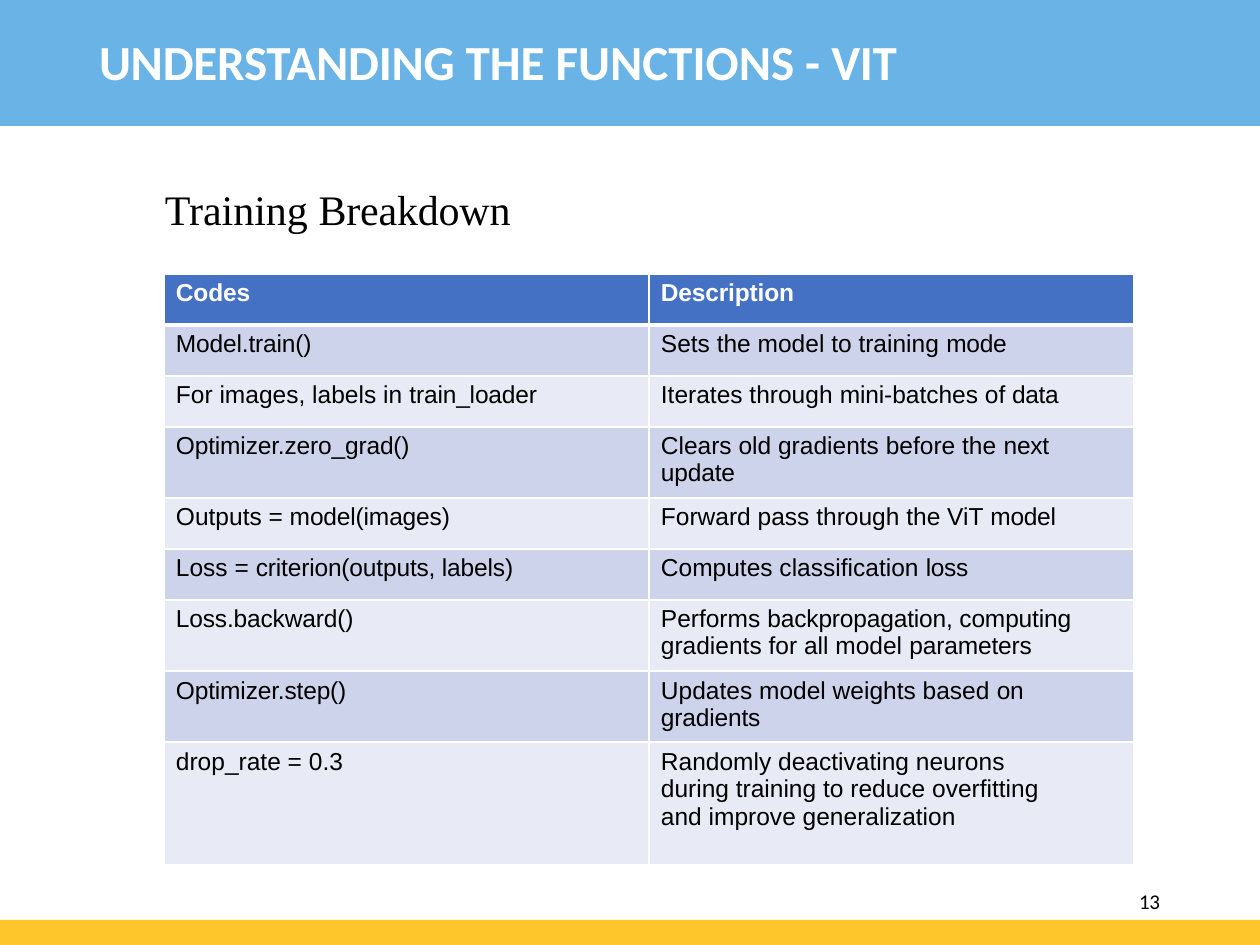
from lxml.etree import SubElement as Sub
from pptx import Presentation
from pptx.dml.color import RGBColor as RGB
from pptx.enum.shapes import MSO_SHAPE as SHAPE
from pptx.enum.text import MSO_ANCHOR as ANCHOR, MSO_AUTO_SIZE as FIT, PP_ALIGN as ALIGN
from pptx.oxml.ns import qn
from pptx.util import Emu, Pt

WHITE = RGB(0xFF, 0xFF, 0xFF)
BLACK = RGB(0x00, 0x00, 0x00)
SKY = RGB(0x69, 0xB3, 0xE7)
GOLD = RGB(0xFF, 0xC6, 0x2C)
BLUE = RGB(0x44, 0x71, 0xC4)
DARK = RGB(0xCD, 0xD3, 0xEA)
PALE = RGB(0xE8, 0xEB, 0xF5)

WIDE, HIGH = 1260, 945
ROWS = [51, 51, 51, 71, 51, 51, 71, 71, 123]

# Each cell is a list of paragraphs; each run is its text and its
# letter spacing in hundredths of a point.
CELLS = [
    ([[("Codes", -10)]], [[("Description", -10)]]),
    ([[("Model.train()", -10)]],
     [[("Sets the model to training ", 0), ("mode", -20)]]),
    ([[("For images, labels in ", 0), ("train_loader", -10)]],
     [[("Iterates through ", 0), ("mini-", -10), ("batches of", 0),
       (" data", -20)]]),
    ([[("Optimizer.zero_grad()", -10)]],
     [[("Clears old gradients before the ", 0), ("next ", -20),
       ("update", -10)]]),
    ([[("Outputs =", 0), (" model(images)", -10)]],
     [[("Forward pass through the ViT ", 0), ("model", -20)]]),
    ([[("Loss = ", 0), ("criterion(outputs, labels)", -10)]],
     [[("Computes classification ", 0), ("loss", -20)]]),
    ([[("Loss.backward()", -10)]],
     [[("Performs ", 0), ("backpropagation, computing", -10)],
      [("gradients for all model ", 0), ("parameters", -10)]]),
    ([[("Optimizer.step()", -10)]],
     [[("Updates model weights based ", 0), ("on ", -20),
       ("gradients", -10)]]),
    ([[("drop_rate = 0.3", 0)]],
     [[("Randomly deactivating neurons during training to reduce "
        "overfitting and improve generalization", 0)]]),
]


def px(n):
    return Emu(round(n * 914400 / 126))


def place(shape, box):
    shape.left, shape.top, shape.width, shape.height = map(px, box)


def inset(item, left, top, right):
    item.margin_left, item.margin_top = px(left), px(top)
    item.margin_right, item.margin_bottom = px(right), 0


def write(frame, paras, face, size, color, bold=False):
    for i, runs in enumerate(paras):
        para = frame.add_paragraph() if i else frame.paragraphs[0]
        para.alignment = ALIGN.LEFT
        for text, gap in runs:
            run = para.add_run()
            run.text = text
            font = run.font
            font.name, font.size, font.bold = face, Pt(size), bold
            font.color.rgb = color
            run._r.get_or_add_rPr().set("spc", str(gap))


def bar(slide, box, color):
    shape = slide.shapes.add_shape(SHAPE.RECTANGLE, *map(px, box))
    shape.shadow.inherit = False
    shape.fill.solid()
    shape.fill.fore_color.rgb = color
    shape.line.fill.background()


def head(slide, box):
    left, top, wide, high = box
    bar(slide, box, SKY)
    title = slide.shapes.title
    slide.shapes._spTree.append(title.element)  # in front of the bar
    place(title, (left + 88, top + 30, wide - 248, high - 42))
    frame = title.text_frame
    frame.auto_size = FIT.NONE
    frame.vertical_anchor = ANCHOR.TOP
    inset(frame, 11, 1, 0)
    runs = [("UNDERSTANDING ", -10), ("THE FUNCTIONS - ", 0), ("VIT", -20)]
    write(frame, [runs], "Calibri", 28, WHITE, True)


def label(slide, box, runs, face, size, left):
    frame = slide.shapes.add_textbox(*map(px, box)).text_frame
    frame.word_wrap = True
    inset(frame, left, 1, 0)
    write(frame, [runs], face, size, BLACK)
    return frame


def edge(cell, side, width):
    line = Sub(cell._tc.get_or_add_tcPr(), qn("a:ln" + side), w=str(Pt(width)))
    fill = Sub(line, qn("a:solidFill"))
    Sub(fill, qn("a:srgbClr"), val=str(WHITE))


def grid(slide, box):
    frame = slide.shapes.add_table(len(CELLS), 2, *map(px, box))
    table = frame.table
    for col in table.columns:
        col.width = px(box[2] // 2)
    for r, (high, pair) in enumerate(zip(ROWS, CELLS)):
        table.rows[r].height = px(high)
        for c, paras in enumerate(pair):
            cell = table.cell(r, c)
            inset(cell, 12, 6 if r > 6 else 5, 65 if c and len(paras) == 1 else 0)
            for side in "LRTB":
                thick = (r, side) in ((0, "B"), (1, "T"))
                edge(cell, side, 3 if thick else 1)
            cell.fill.solid()
            cell.fill.fore_color.rgb = BLUE if r == 0 else DARK if r % 2 else PALE
            write(cell.text_frame, paras, "Arial", 14,
                  BLACK if r else WHITE, r == 0)


def foot(slide, box):
    left, top, wide, high = box
    bar(slide, box, GOLD)
    frame = label(slide, (left + 1134, top - 29, 34, 25), [("13", -20)],
                  "Calibri", 12, 5)
    frame.paragraphs[0].line_spacing = Pt(12.4)


def main():
    deck = Presentation()
    deck.slide_width, deck.slide_height = px(WIDE), px(HIGH)
    slide = deck.slides.add_slide(deck.slide_layouts[5])
    head(slide, (0, 0, WIDE, 126))
    label(slide, (164, 182, 352, 54),
          [("Training ", 0), ("Breakdown", -10)], "Times New Roman", 24, 1)
    grid(slide, (164, 274, 970, sum(ROWS)))
    foot(slide, (0, 920, WIDE, 25))
    deck.save("out.pptx")


if __name__ == "__main__":
    main()
